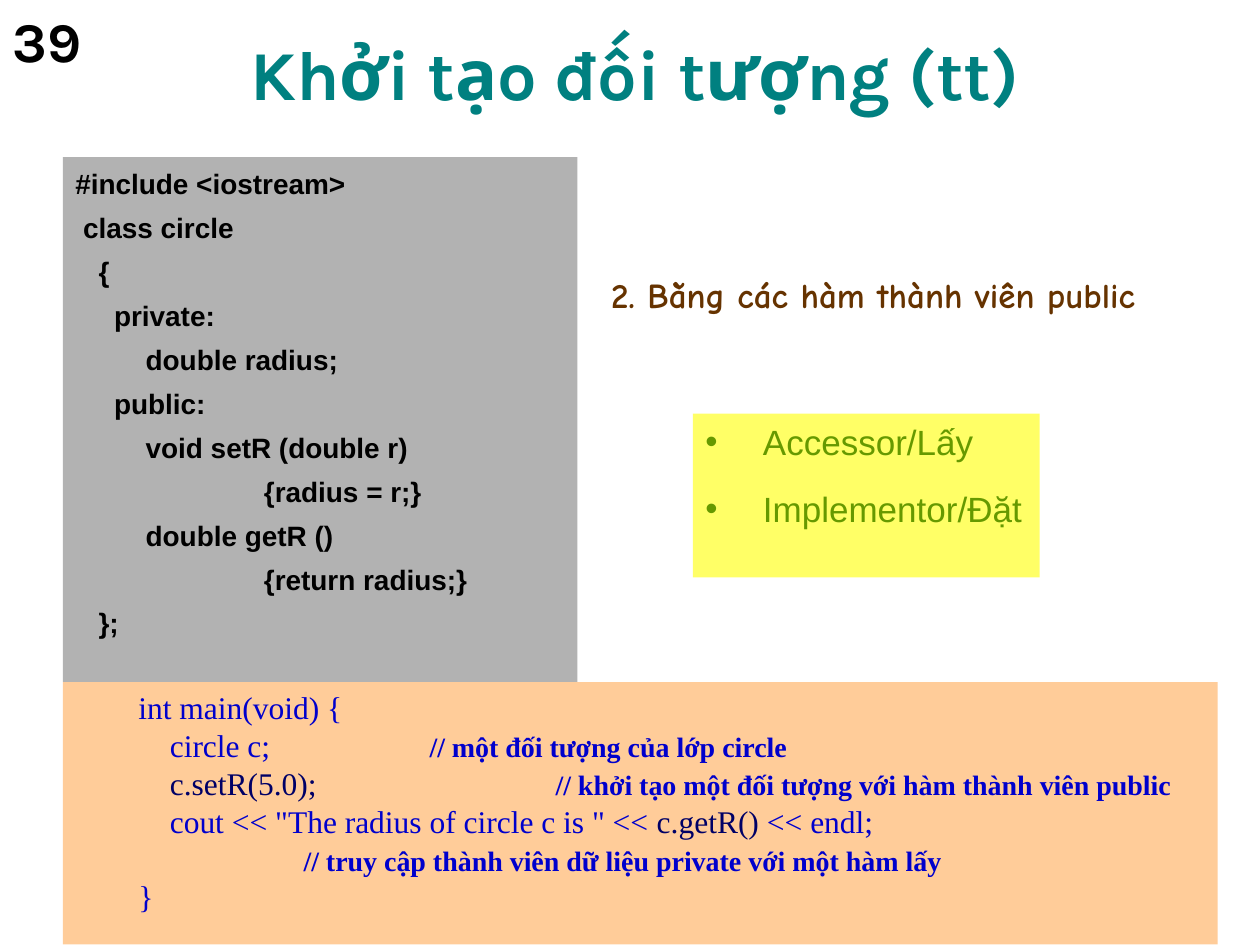
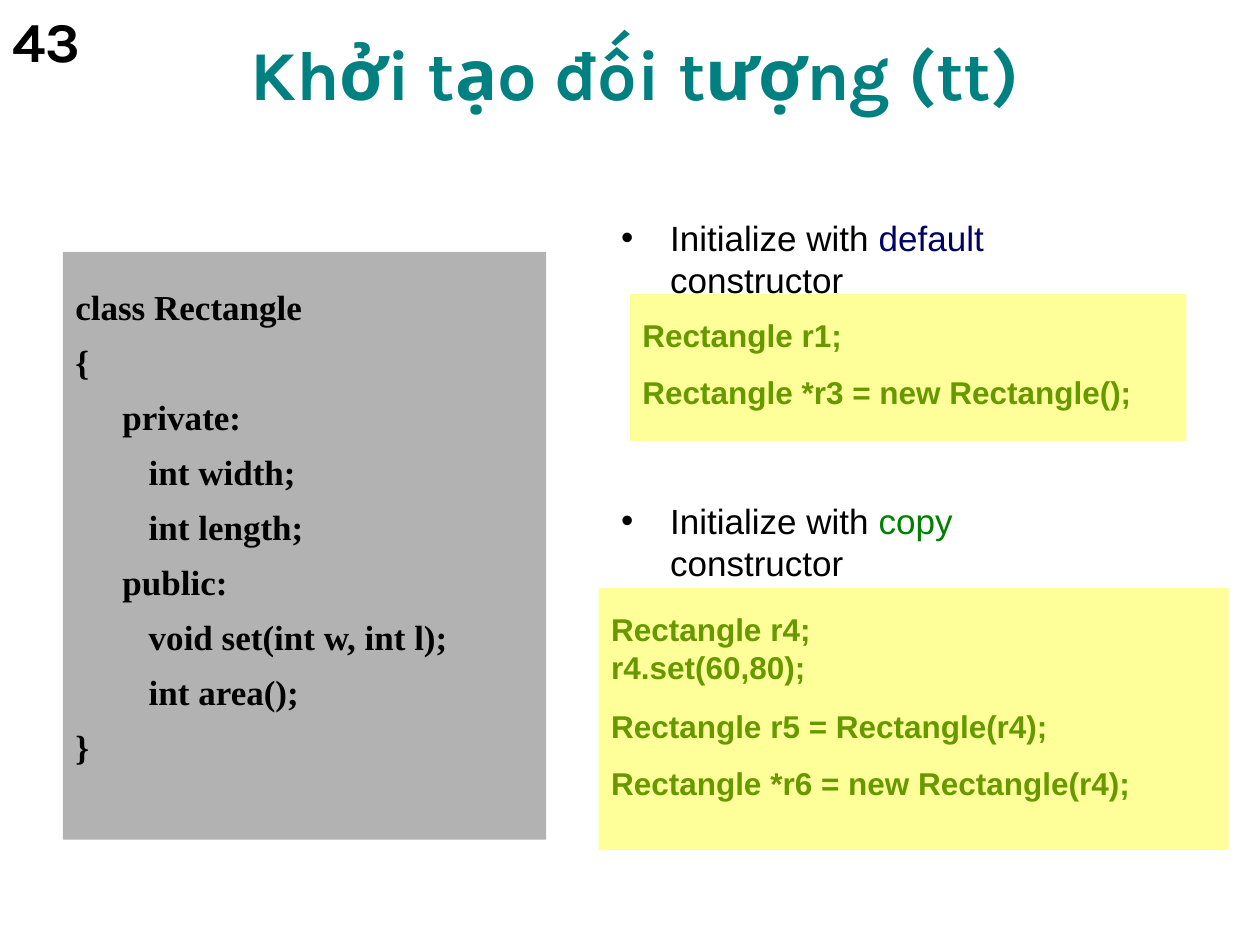
from lxml import etree
from pptx import Presentation
from pptx import util as u
from pptx.dml.color import RGBColor
from pptx.enum import shapes, text
from pptx.oxml import ns

TEAL = RGBColor(0x00, 0x80, 0x80)
BLACK = RGBColor(0x00, 0x00, 0x00)
GRAY = RGBColor(0xB2, 0xB2, 0xB2)
PEACH = RGBColor(0xFF, 0xCC, 0x99)
YELLOW = RGBColor(0xFF, 0xFF, 0x66)
PALE_YELLOW = RGBColor(0xFF, 0xFF, 0x99)
BLUE = RGBColor(0x00, 0x00, 0xCC)
NAVY = RGBColor(0x00, 0x00, 0x66)
BROWN = RGBColor(0x66, 0x33, 0x00)
OLIVE = RGBColor(0x66, 0x99, 0x00)
GREEN = RGBColor(0x00, 0x80, 0x00)

TITLE = "Khởi tạo đối tượng (tt)"
CODE_INDENT = (0.95, -0.95)
TAB_WIDTH = str(u.Cm(2.54))


def add_block(slide, place, lines, font, size, color, fill=None, bold=False,
              indent=(0, 0), spacing=1.0, gaps=0, top=0.13, bullet=False):
    """Add a text block; place, indent and top are in cm, gaps (one, or one per line) in points.

    A line is a string or a list of (text, changes) spans.
    """
    place = [u.Cm(length) for length in place]
    if fill is None:
        box = slide.shapes.add_textbox(*place)
    else:
        box = slide.shapes.add_shape(shapes.MSO_SHAPE.RECTANGLE, *place)
        box.shadow.inherit = False
        box.fill.solid()
        box.fill.fore_color.rgb = fill
        box.line.fill.background()
    frame = box.text_frame
    frame.word_wrap = True
    frame.vertical_anchor = text.MSO_ANCHOR.TOP
    frame.margin_left = frame.margin_right = u.Cm(0.25)
    frame.margin_top, frame.margin_bottom = u.Cm(top), u.Cm(0.13)

    for number, line in enumerate(lines):
        para = frame.paragraphs[0] if number == 0 else frame.add_paragraph()
        para.alignment = text.PP_ALIGN.LEFT
        para.line_spacing = spacing
        if number:
            para.space_before = u.Pt(gaps[number] if isinstance(gaps, list) else gaps)
        properties = para._p.get_or_add_pPr()
        properties.set("marL", str(u.Cm(indent[0])))
        properties.set("indent", str(u.Cm(indent[1])))
        properties.set("defTabSz", TAB_WIDTH)
        if bullet:
            bullet_color = etree.SubElement(properties, ns.qn("a:buClr"))
            etree.SubElement(bullet_color, ns.qn("a:srgbClr"), val=str(color))
            etree.SubElement(properties, ns.qn("a:buFont"), typeface="Arial")
            etree.SubElement(properties, ns.qn("a:buChar"), char="•")
        for words, changes in [(line, {})] if isinstance(line, str) else line:
            span = para.add_run()
            span.text = words
            span.font.name = font
            span.font.size = u.Pt(changes.get("size", size))
            span.font.bold = changes.get("bold", bold)
            span.font.color.rgb = changes.get("color", color)
    return frame


def add_page(deck, number):
    """Add a blank slide with the shared title and its page number."""
    page = deck.slides.add_slide(deck.slide_layouts[6])
    title = add_block(page, (0.84, 0.42, 23.92, 2.01), [TITLE], "Karla", 40, TEAL, bold=True)
    title.vertical_anchor = text.MSO_ANCHOR.BOTTOM
    title.paragraphs[0].alignment = text.PP_ALIGN.CENTER
    add_block(page, (0, 0, 2.75, 1.8), [number], "Karla", 32, BLACK, bold=True)
    return page


deck = Presentation()
deck.slide_width, deck.slide_height = u.Cm(25.4), u.Cm(19.05)
# The template's default tabs are half as wide as the code listings need
for root in (deck.element, deck.slide_master.element):
    for level in root.xpath(".//*[@defTabSz]"):
        level.set("defTabSz", TAB_WIDTH)

# Initialising through public member functions
page = add_page(deck, "39")
circle_class = [
    "#include <iostream>",
    " class circle",
    "   {",
    "     private:",
    "  \t   double radius;",
    "     public:",
    "\t   void setR (double r)",
    "\t\t  {radius = r;}",
    "\t   double getR ()",
    "\t\t  {return radius;}",
    "   };",
]
add_block(page, (1.27, 3.17, 10.37, 10.58), circle_class, "Arial", 16, BLACK, GRAY,
          bold=True, indent=CODE_INDENT, spacing=1.1, gaps=4)

comment = {"size": 16, "bold": True}
member_call = {"color": NAVY}
main_function = [
    "int main(void) {",
    [("    circle c;\t\t", {}), ("// một đối tượng của lớp circle", comment)],
    [("    ", {}), ("c.setR(5.0);\t\t", member_call),
     ("// khởi tạo một đối tượng với hàm thành viên public", comment)],
    [('    cout << "The radius of circle c is " << ', {}), ("c.getR()", member_call),
     (" << endl;", {})],
    [("\t\t", {}), ("// truy cập thành viên dữ liệu private với một hàm lấy", comment)],
    "}",
]
add_block(page, (1.27, 13.75, 23.28, 5.29), main_function, "Times New Roman", 18, BLUE, PEACH,
          indent=(2.06, -0.79))

add_block(page, (12.07, 5.38, 14.58, 1.11), ["2. Bằng các hàm thành viên public"],
          "Comic Neue", 20, BROWN, bold=True)
add_block(page, (13.97, 8.34, 6.99, 3.3), ["Accessor/Lấy", "Implementor/Đặt"],
          "Arial", 20, OLIVE, YELLOW, indent=(1.16, -1.16), gaps=14.4, bullet=True)

# Initialising through constructors
page = add_page(deck, "43")
rectangle_class = [
    "class Rectangle",
    "{",
    "\tprivate:",
    "\t   int width;",
    "\t   int length;",
    "\tpublic:",
    "\t   void set(int w, int l);",
    "\t   int area();",
    "}",
]
add_block(page, (1.27, 5.08, 9.74, 11.85), rectangle_class, "Times New Roman", 20, BLACK, GRAY,
          bold=True, indent=CODE_INDENT, spacing=1.1, gaps=5, top=0.6)

default_code = ["Rectangle r1;", "Rectangle *r3 = new Rectangle();"]
copy_code = ["Rectangle r4;", "r4.set(60,80);", "Rectangle r5 = Rectangle(r4);",
             "Rectangle *r6 = new Rectangle(r4);"]
constructors = [
    ("default ", NAVY, (12.27, 4.23, 11.15, 1.11),
     default_code, (12.7, 5.93, 11.22, 2.96), [0, 15.4]),
    ("copy ", GREEN, (12.27, 9.94, 10.54, 1.11),
     copy_code, (12.07, 11.85, 12.7, 5.29), [0, 4.5, 16.5, 15.4]),
]
for kind, kind_color, heading_place, code, code_place, code_gaps in constructors:
    heading = [("Initialize with ", {}), (kind, {"color": kind_color}), ("constructor", {})]
    add_block(page, heading_place, [heading], "Arial", 20, BLACK,
              indent=(0.99, -0.99), bullet=True)
    add_block(page, code_place, code, "Arial", 18, OLIVE, PALE_YELLOW, bold=True,
              indent=CODE_INDENT, spacing=0.8, gaps=code_gaps, top=0.59)

deck.save("out.pptx")
